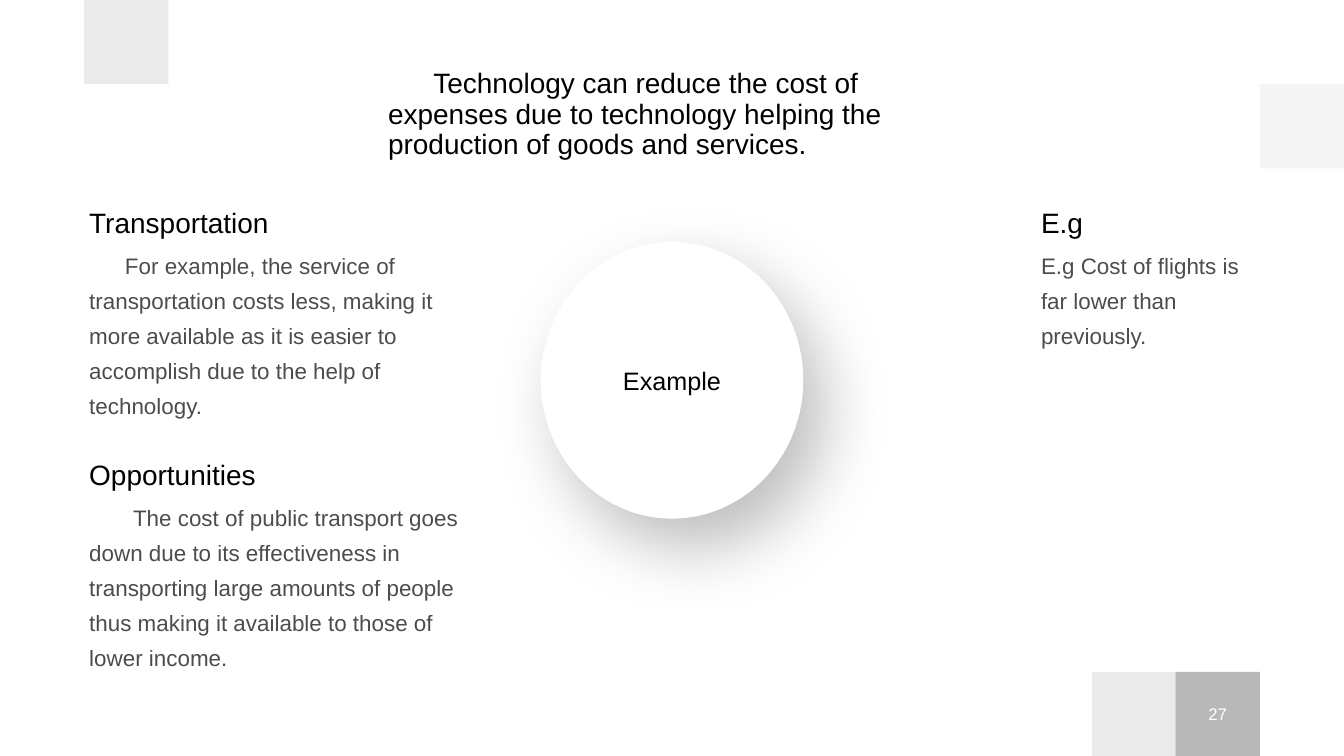
from dataclasses import dataclass

from pptx import Presentation
from pptx.dml.color import RGBColor
from pptx.enum.shapes import MSO_SHAPE
from pptx.enum.text import MSO_ANCHOR, MSO_AUTO_SIZE, PP_ALIGN
from pptx.oxml.ns import qn
from pptx.util import Inches, Pt
from lxml.etree import SubElement


@dataclass(frozen=True)
class Theme:
    font: str = "Arial"
    ink: RGBColor = RGBColor(0, 0, 0)
    paper: RGBColor = RGBColor(255, 255, 255)
    heading_size: int = 40
    label_size: int = 36
    body_size: int = 32
    number_size: int = 24
    body_opacity: int = 70


THEME = Theme()
TILE = 1.67
HEADING_HEIGHT = 2.08


def set_opacity(properties, percent):
    """Make the solid fill inside a shape's or run's properties translucent."""
    color = properties.find(qn("a:solidFill"))[0]
    SubElement(color, qn("a:alpha"), val=str(percent * 1000))


def place(shape, left, top, width, height):
    shape.left, shape.top = Inches(left), Inches(top)
    shape.width, shape.height = Inches(width), Inches(height)


def write(shape, text, size, color=THEME.ink, opacity=100, align=PP_ALIGN.LEFT,
          anchor=MSO_ANCHOR.TOP, line_spacing=1.0, first_indent=0, inset=None):
    frame = shape.text_frame
    frame.word_wrap = True
    frame.auto_size = MSO_AUTO_SIZE.NONE
    frame.vertical_anchor = anchor
    if inset is not None:
        frame.margin_left = frame.margin_right = Inches(inset)
        frame.margin_top = frame.margin_bottom = Inches(inset)
    paragraph = frame.paragraphs[0]
    properties = paragraph._p.get_or_add_pPr()
    properties.set("marL", "0")
    properties.set("indent", str(Inches(first_indent)))
    SubElement(properties, qn("a:buNone"))
    paragraph.alignment = align
    paragraph.line_spacing = line_spacing
    paragraph.space_before = Pt(0)
    run = paragraph.add_run()
    run.text = text
    run.font.name = THEME.font
    run.font.size = Pt(size)
    run.font.bold = False
    run.font.color.rgb = color
    if opacity < 100:
        set_opacity(run.font._element, opacity)


def add_tile(slide, left, top, opacity):
    tile = slide.shapes.add_shape(MSO_SHAPE.RECTANGLE, Inches(left), Inches(top),
                                  Inches(TILE), Inches(TILE))
    tile.shadow.inherit = False
    tile.line.fill.background()
    tile.fill.solid()
    tile.fill.fore_color.rgb = THEME.ink
    set_opacity(tile._element.spPr, opacity)
    return tile


def add_text_box(slide):
    return slide.shapes.add_textbox(0, 0, 0, 0)


def fill_topic(heading_box, body_box, heading, body, left, top, width, height,
               first_indent=0):
    """Set a heading that ends at top, with its explanation below."""
    place(heading_box, left, top - HEADING_HEIGHT, 4.44, HEADING_HEIGHT)
    write(heading_box, heading, THEME.heading_size, anchor=MSO_ANCHOR.BOTTOM,
          line_spacing=1.3)
    place(body_box, left, top, width, height)
    write(body_box, body, THEME.body_size, opacity=THEME.body_opacity,
          line_spacing=1.3, first_indent=first_indent)


def add_example_circle(slide):
    circle = slide.shapes.add_shape(MSO_SHAPE.OVAL, Inches(10.73), Inches(4.8),
                                    Inches(5.21), Inches(5.49))
    circle.fill.solid()
    circle.fill.fore_color.rgb = THEME.paper
    circle.line.fill.background()
    circle.shadow.inherit = False
    effects = circle._element.spPr.find(qn("a:effectLst"))
    shadow = SubElement(effects, qn("a:outerShdw"), blurRad=str(Pt(100)),
                        dist=str(Pt(50)), dir=str(55 * 60000), algn="tl",
                        rotWithShape="0")
    color = SubElement(shadow, qn("a:srgbClr"), val=str(THEME.ink))
    SubElement(color, qn("a:alpha"), val="25000")
    write(circle, "Example", THEME.label_size, align=PP_ALIGN.CENTER,
          anchor=MSO_ANCHOR.MIDDLE, inset=0.08)


def main():
    deck = Presentation()
    deck.slide_width, deck.slide_height = Inches(26.67), Inches(15)
    slide = deck.slides.add_slide(deck.slide_layouts.get_by_name("Comparison"))
    title, *topic_boxes = slide.placeholders

    place(title, 7.62, 1.3, 11.62, 1.97)
    write(title, "Technology can reduce the cost of expenses due to technology "
          "helping the production of goods and services.", THEME.heading_size,
          anchor=MSO_ANCHOR.MIDDLE, line_spacing=0.9, first_indent=0.9, inset=0.08)

    fill_topic(*topic_boxes[:2], "Transportation",
               "For example, the service of transportation costs less, making it "
               "more available as it is easier to accomplish due to the help of "
               "technology.", 1.67, 4.8, 7.63, 3.73, first_indent=0.71)
    fill_topic(*topic_boxes[2:4], "Opportunities",
               "The cost of public transport goes down due to its effectiveness in "
               "transporting large amounts of people thus making it available to "
               "those of lower income.", 1.67, 9.8, 8.21, 4.14, first_indent=0.87)
    fill_topic(add_text_box(slide), add_text_box(slide), "E.g",
               "E.g Cost of flights is far lower than previously.",
               20.56, 4.8, 4.44, 4.75)
    add_example_circle(slide)

    for left, top, opacity in ((1.67, 0, 8), (25, 1.67, 4), (21.67, 13.33, 8)):
        add_tile(slide, left, top, opacity)
    number_tile = add_tile(slide, 23.33, 13.33, 28)
    write(number_tile, "27", THEME.number_size, color=THEME.paper,
          align=PP_ALIGN.CENTER, anchor=MSO_ANCHOR.MIDDLE, inset=0.08)

    deck.save("out.pptx")


if __name__ == "__main__":
    main()
